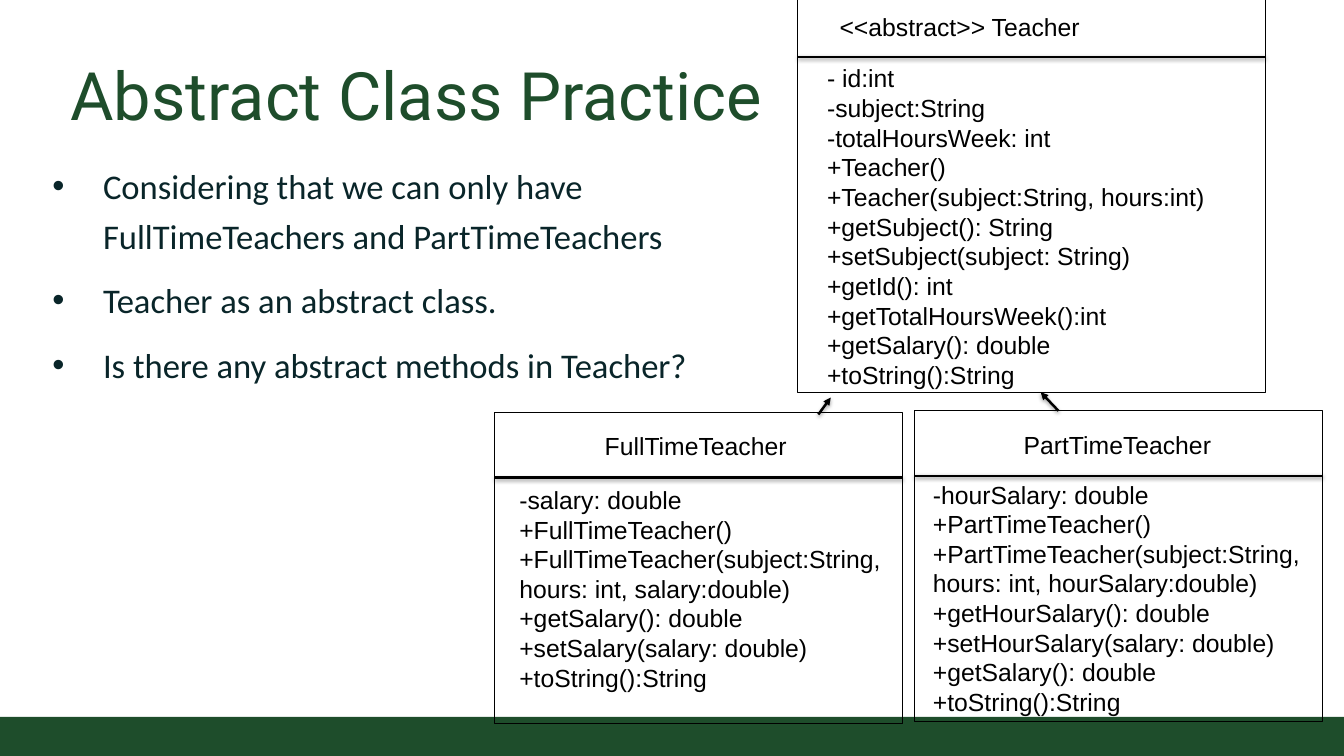
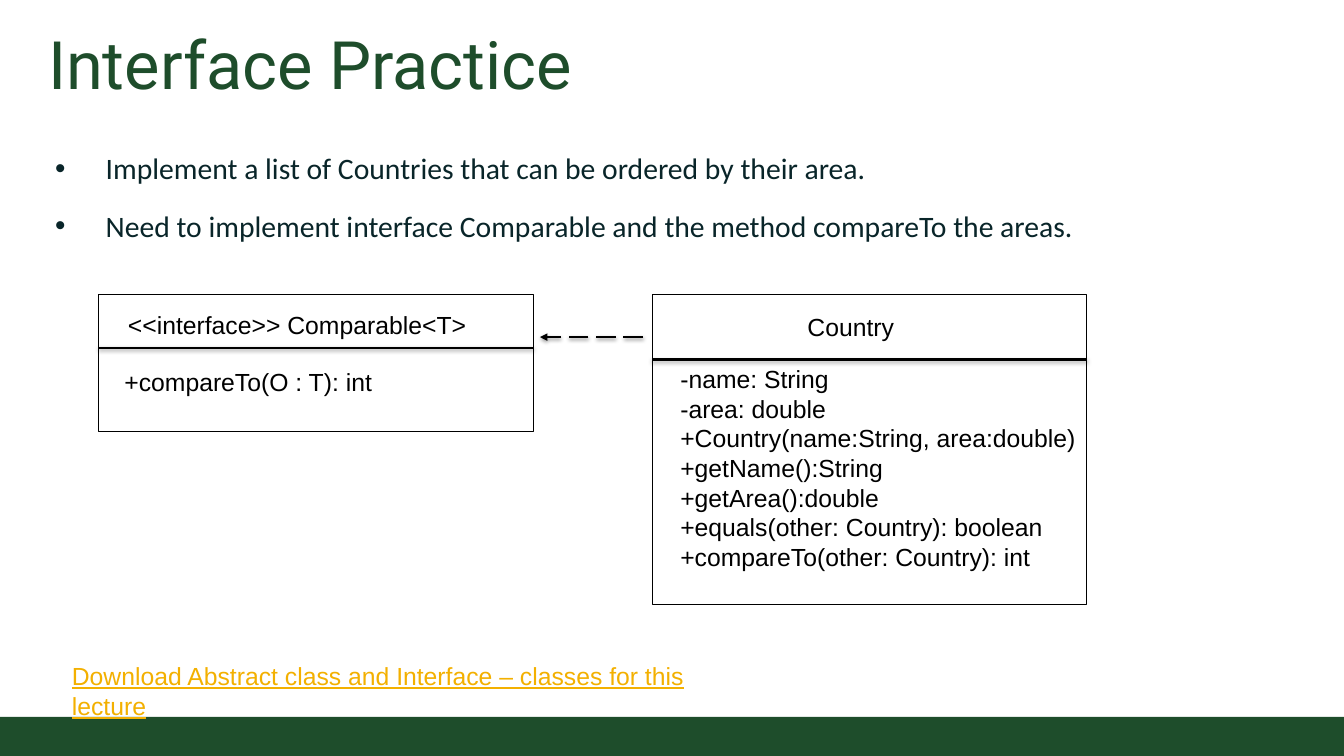
"""Builds two class-diagram practice slides on abstract classes and interfaces."""
from dataclasses import dataclass

from lxml import etree
from pptx import Presentation
from pptx import oxml
from pptx import util as u
from pptx.dml.color import RGBColor
from pptx.enum import dml, shapes, text
from pptx.oxml.ns import nsdecls, qn


@dataclass(frozen=True)
class Theme:
    """Colours, fonts, sizes and shared measures of the deck."""
    green: str = "1E4D2B"
    ink: str = "092529"
    black: str = "000000"
    gold: str = "F3B000"
    title_font: str = "Roboto"
    body_font: str = "Calibri"
    diagram_font: str = "Arial"
    title_size: int = 54
    diagram_size: int = 20
    width: float = 15.11
    height: float = 8.5
    band_height: float = 0.44
    inset: float = 0.1
    bullet_indent: float = 0.57


THEME = Theme()
SHADOW = (
    f'<a:effectLst {nsdecls("a")}><a:outerShdw blurRad="40000" dist="20000" '
    'dir="5400000" rotWithShape="0"><a:srgbClr val="000000">'
    '<a:alpha val="38000"/></a:srgbClr></a:outerShdw></a:effectLst>'
)


def assign(target, values):
    """Set each named attribute on the target."""
    for name, value in values.items():
        setattr(target, name, value)


def inches(*lengths):
    """Turn numbers into slide lengths."""
    return [u.Inches(length) for length in lengths]


def write(para, words, font, size, color, underline=None):
    """Add one formatted run to a paragraph."""
    span = para.add_run()
    span.text = words
    assign(span.font, {"name": font, "size": u.Pt(size), "underline": underline})
    span.font.color.rgb = RGBColor.from_string(color)


def set_frame(frame, side=0.1, edge=0.05, anchor=text.MSO_ANCHOR.TOP):
    """Give a text frame its insets, wrapping and anchor."""
    assign(frame, {
        "word_wrap": True,
        "auto_size": text.MSO_AUTO_SIZE.NONE,
        "vertical_anchor": anchor,
        "margin_left": u.Inches(side),
        "margin_right": u.Inches(side),
        "margin_top": u.Inches(edge),
        "margin_bottom": u.Inches(edge),
    })


def paragraphs(frame, lines):
    """Yield one paragraph of the frame with each line."""
    for index, line in enumerate(lines):
        yield (frame.add_paragraph() if index else frame.paragraphs[0]), line


def add_title(slide, words, left, top):
    """Place and format the title placeholder."""
    title = slide.shapes.title
    assign(title, dict(zip(("left", "top", "width", "height"),
                           inches(left, top, 13.74, 1.11))))
    frame = title.text_frame
    set_frame(frame, edge=THEME.inset, anchor=text.MSO_ANCHOR.BOTTOM)
    para = frame.paragraphs[0]
    para.alignment = text.PP_ALIGN.LEFT
    write(para, words, THEME.title_font, THEME.title_size, THEME.green)


def add_bullets(slide, place, size, lines):
    """Add a bulleted list."""
    frame = slide.shapes.add_textbox(*inches(*place)).text_frame
    set_frame(frame, edge=THEME.inset)
    indent = u.Inches(THEME.bullet_indent)
    for para, line in paragraphs(frame, lines):
        assign(para, {"line_spacing": 1.2, "space_after": u.Pt(12)})
        props = para._p.get_or_add_pPr()
        props.set("marL", str(indent))
        props.set("indent", str(-indent))
        etree.SubElement(props, qn("a:buFont")).set("typeface", "Arial")
        etree.SubElement(props, qn("a:buChar")).set("char", "•")
        write(para, line, THEME.body_font, size, THEME.ink)


def add_label(slide, place, lines, color=THEME.black, underline=None):
    """Add plain diagram text, one paragraph a line."""
    frame = slide.shapes.add_textbox(*inches(*place)).text_frame
    set_frame(frame)
    for para, line in paragraphs(frame, lines):
        write(para, line, THEME.diagram_font, THEME.diagram_size, color, underline)


def add_line(slide, start, end, arrow=False, dash=None):
    """Add a shadowed straight line, with an arrowhead if asked."""
    line = slide.shapes.add_connector(
        shapes.MSO_CONNECTOR.STRAIGHT, *inches(*start, *end))
    line.line.color.rgb = RGBColor.from_string(THEME.black)
    line.line.width = u.Pt(2)
    if dash:
        line.line.dash_style = dash
    props = line.element.spPr
    if arrow:
        etree.SubElement(props.get_or_add_ln(), qn("a:tailEnd")).set("type", "triangle")
    props.append(oxml.parse_xml(SHADOW))


def add_class(slide, place, divider, name, name_at, members, members_at):
    """Draw a class box with its name, divider and members."""
    left, top, width, height = place
    right, bottom = left + width, top + height
    outline = slide.shapes.add_shape(shapes.MSO_SHAPE.RECTANGLE, *inches(*place))
    outline.shadow.inherit = False
    outline.fill.background()
    outline.line.color.rgb = RGBColor.from_string(THEME.black)
    outline.line.width = u.Pt(0.75)
    add_line(slide, (left, divider), (right, divider))
    for lines, (x, y), end in (([name], name_at, divider), (members, members_at, bottom)):
        add_label(slide, (x, y, right + THEME.inset - x, end - y), lines)


def add_master_band(deck, slide):
    """Put the green bottom band on the slide master."""
    band = slide.shapes.add_shape(
        shapes.MSO_SHAPE.RECTANGLE,
        *inches(0, THEME.height - THEME.band_height, THEME.width, THEME.band_height))
    band.shadow.inherit = False
    band.fill.solid()
    band.fill.fore_color.rgb = RGBColor.from_string(THEME.green)
    band.line.fill.background()
    band.element.nvSpPr.cNvPr.set("id", "99")
    deck.slide_master.shapes.element.append(band.element)


def build_abstract_slide(slide):
    """Show the abstract teacher class and its two subclasses."""
    add_title(slide, "Abstract Class Practice", 0.69, 0.49)
    add_bullets(slide, (0.49, 1.66, 7.78, 3.31), 28, [
        "Considering that we can only have FullTimeTeachers and PartTimeTeachers",
        "Teacher as an abstract class.",
        "Is there any abstract methods in Teacher?",
    ])
    add_class(slide, (8.97, -0.02, 5.26, 4.43), 0.64,
              "<<abstract>> Teacher", (9.34, 0.08), [
                  "- id:int",
                  "-subject:String",
                  "-totalHoursWeek: int",
                  "+Teacher()",
                  "+Teacher(subject:String, hours:int)",
                  "+getSubject(): String",
                  "+setSubject(subject: String)",
                  "+getId(): int",
                  "+getTotalHoursWeek():int",
                  "+getSalary(): double",
                  "+toString():String",
              ], (9.2, 0.66))
    add_class(slide, (5.56, 4.64, 4.59, 3.49), 5.37,
              "FullTimeTeacher", (6.7, 4.8), [
                  "-salary: double",
                  "+FullTimeTeacher()",
                  "+FullTimeTeacher(subject:String, hours: int, salary:double)",
                  "+getSalary(): double",
                  "+setSalary(salary: double)",
                  "+toString():String",
              ], (5.74, 5.4))
    add_class(slide, (10.28, 4.62, 4.59, 3.49), 5.35,
              "PartTimeTeacher", (11.41, 4.78), [
                  "-hourSalary: double",
                  "+PartTimeTeacher()",
                  "+PartTimeTeacher(subject:String, hours: int, hourSalary:double)",
                  "+getHourSalary(): double",
                  "+setHourSalary(salary: double)",
                  "+getSalary(): double",
                  "+toString():String",
              ], (10.39, 5.34))
    add_line(slide, (9.2, 4.66), (9.34, 4.47), arrow=True)
    add_line(slide, (11.9, 4.62), (11.7, 4.41), arrow=True)


def build_interface_slide(slide):
    """Show the country class that implements an interface."""
    add_title(slide, "Interface Practice", 0.44, 0.15)
    add_bullets(slide, (0.52, 1.51, 12.58, 1.29), 24, [
        "Implement a list of Countries that can be ordered by their area.",
        "Need to implement interface Comparable and the method compareTo the areas.",
    ])
    add_class(slide, (1.11, 3.31, 4.89, 1.54), 3.91,
              "<<interface>> Comparable<T>", (1.34, 3.43),
              ["+compareTo(O : T): int"], (1.3, 4.07))
    add_class(slide, (7.33, 3.31, 4.89, 3.49), 4.04,
              "Country", (8.98, 3.46), [
                  "-name: String",
                  "-area: double",
                  "+Country(name:String, area:double)",
                  "+getName():String",
                  "+getArea():double",
                  "+equals(other: Country): boolean",
                  "+compareTo(other: Country): int",
              ], (7.55, 4.04))
    add_line(slide, (7.23, 3.79), (6.07, 3.79), arrow=True,
             dash=dml.MSO_LINE.LONG_DASH)
    add_label(slide, (0.71, 7.38, 7.9, 0.77),
              ["Download Abstract class and Interface – classes for this lecture"],
              THEME.gold, underline=True)


def main():
    """Build and save the deck."""
    deck = Presentation()
    deck.slide_width, deck.slide_height = inches(THEME.width, THEME.height)
    title_only = deck.slide_layouts[5]
    abstract, interface = [deck.slides.add_slide(title_only) for _ in range(2)]
    add_master_band(deck, abstract)
    build_abstract_slide(abstract)
    build_interface_slide(interface)
    deck.save("out.pptx")


if __name__ == "__main__":
    main()
